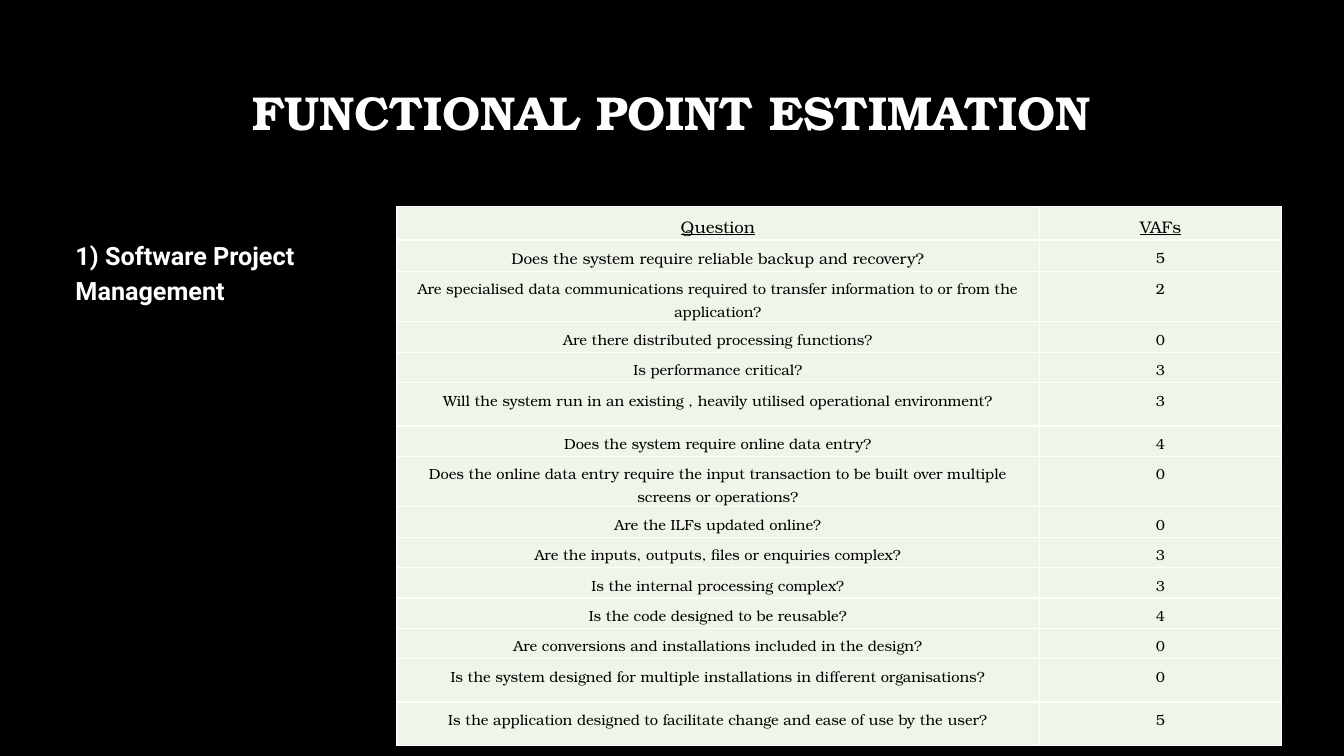
"""Build the functional point estimation slide with its table of VAF scores."""
from lxml import etree
from pptx import Presentation
from pptx.dml.color import RGBColor
from pptx.enum.text import MSO_ANCHOR, PP_ALIGN
from pptx.oxml.ns import qn
from pptx.util import Inches, Pt

SERIF = "TeX Gyre Bonum"
BLACK, WHITE, PALE_GREEN = "000000", "FFFFFF", "F0F5E9"
QUESTIONS = [
    ("Question", "VAFs"),
    ("Does the system require reliable backup and recovery?", "5"),
    ("Are specialised data communications required to transfer information to or from the application?", "2"),
    ("Are there distributed processing functions?", "0"),
    ("Is performance critical?", "3"),
    ("Will the system run in an existing , heavily utilised operational environment?", "3"),
    ("Does the system require online data entry?", "4"),
    ("Does the online data entry require the input transaction to be built over multiple screens or operations?", "0"),
    ("Are the ILFs updated online?", "0"),
    ("Are the inputs, outputs, files or enquiries complex?", "3"),
    ("Is the internal processing complex?", "3"),
    ("Is the code designed to be reusable?", "4"),
    ("Are conversions and installations included in the design?", "0"),
    ("Is the system designed for multiple installations in different organisations?", "0"),
    ("Is the application designed to facilitate change and ease of use by the user?", "5"),
]
COLUMN_WIDTHS = [6.38, 2.4]
TALL_ROWS = {2, 5, 7, 13, 14}
ROW_HEIGHTS = [0.31, 0.28] + [0.43 if row in TALL_ROWS else 0.26 for row in range(2, len(QUESTIONS))]


def color(hex_string):
    return RGBColor.from_string(hex_string)


def write(text_frame, text, size, font_name, hex_string, bold=False, align=PP_ALIGN.CENTER, spacing=1.15):
    text_frame.word_wrap = True
    paragraph = text_frame.paragraphs[0]
    paragraph.alignment = align
    paragraph.line_spacing = spacing
    run = paragraph.add_run()
    run.text = text
    run.font.size = Pt(size)
    run.font.name = font_name
    run.font.bold = bold
    run.font.color.rgb = color(hex_string)
    return run


presentation = Presentation()
presentation.slide_width = Inches(13.33)
presentation.slide_height = Inches(7.5)
slide = presentation.slides.add_slide(presentation.slide_layouts[6])
slide.background.fill.solid()
slide.background.fill.fore_color.rgb = color(BLACK)

title = slide.shapes.add_textbox(Inches(1), Inches(0.67), Inches(11.32), Inches(0.94))
title.text_frame.vertical_anchor = MSO_ANCHOR.MIDDLE
write(title.text_frame, "FUNCTIONAL POINT ESTIMATION", 34, SERIF, WHITE, bold=True, spacing=0.9)

topic = slide.shapes.add_textbox(Inches(0.65), Inches(2.29), Inches(3.28), Inches(0.78))
write(topic.text_frame, "1) Software Project Management", 18, "Roboto", WHITE, bold=True, align=PP_ALIGN.LEFT)

table = slide.shapes.add_table(
    len(QUESTIONS), len(COLUMN_WIDTHS), Inches(3.93), Inches(2.05),
    Inches(sum(COLUMN_WIDTHS)), Inches(sum(ROW_HEIGHTS))).table
table.first_row = False
table.horz_banding = False
for column, width in zip(table.columns, COLUMN_WIDTHS):
    column.width = Inches(width)

for row_index, (texts, height) in enumerate(zip(QUESTIONS, ROW_HEIGHTS)):
    table.rows[row_index].height = Inches(height)
    for column_index, text in enumerate(texts):
        cell = table.cell(row_index, column_index)
        cell.margin_left = cell.margin_right = Inches(0.05)
        cell.margin_top = cell.margin_bottom = Inches(0.05)
        size = 12 if row_index == 0 else 11 if (row_index, column_index) == (1, 0) else 10.5
        run = write(cell.text_frame, text, size, SERIF, BLACK)
        run.font.underline = row_index == 0
        properties = cell._tc.get_or_add_tcPr()
        for side in ("a:lnL", "a:lnR", "a:lnT", "a:lnB"):
            border = etree.SubElement(properties, qn(side), w=str(Pt(1)))
            border_fill = etree.SubElement(border, qn("a:solidFill"))
            etree.SubElement(border_fill, qn("a:srgbClr"), val=WHITE)
        cell.fill.solid()
        cell.fill.fore_color.rgb = color(PALE_GREEN)

presentation.save("out.pptx")
